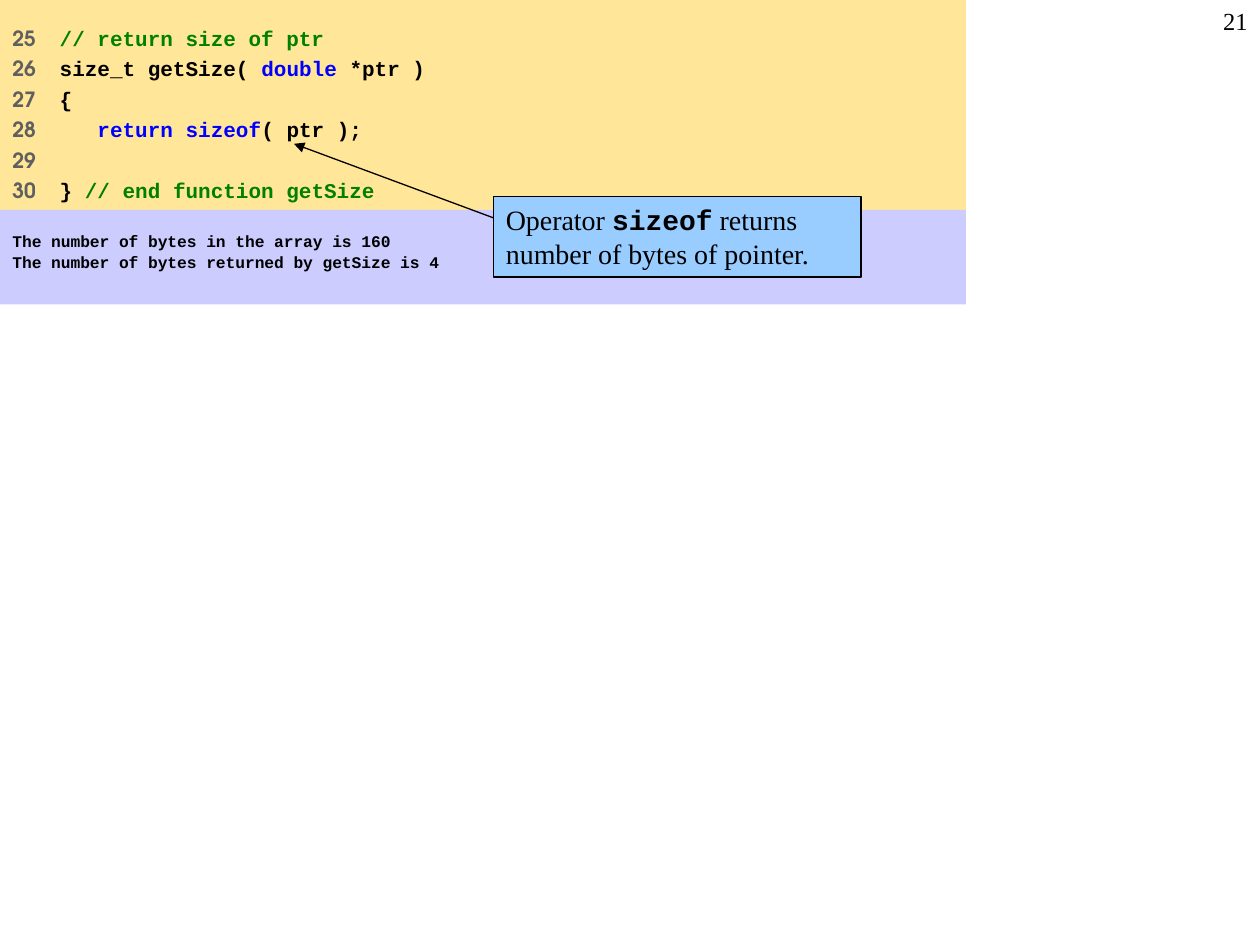
from lxml.etree import SubElement
from pptx import Presentation
from pptx.dml.color import RGBColor
from pptx.enum.shapes import MSO_CONNECTOR, MSO_SHAPE
from pptx.enum.text import MSO_ANCHOR, MSO_AUTO_SIZE, PP_ALIGN
from pptx.oxml.ns import qn
from pptx.util import Inches, Pt

BLACK = RGBColor(0x00, 0x00, 0x00)
GRAY = RGBColor(0x5F, 0x5F, 0x5F)
GREEN = RGBColor(0x00, 0x80, 0x00)
BLUE = RGBColor(0x00, 0x00, 0xFF)
CODE_FILL = RGBColor(0xFF, 0xE6, 0x99)
OUTPUT_FILL = RGBColor(0xCC, 0xCC, 0xFF)
CALLOUT_FILL = RGBColor(0x99, 0xCC, 0xFF)
CODE_FONT = "Courier New"
NUMBER_FONT = "TeX Gyre Adventor"
BODY_FONT = "Times New Roman"

presentation = Presentation()
presentation.slide_width = Inches(10)
presentation.slide_height = Inches(7.5)
column = presentation.slide_width / 120
row = presentation.slide_height / 90
slide = presentation.slides.add_slide(presentation.slide_layouts[6])


def add_panel(shapes, left, top, width, height, fill, inset):
    panel = shapes.add_shape(
        MSO_SHAPE.RECTANGLE,
        int(left * column), int(top * row), int(width * column), int(height * row),
    )
    panel.shadow.inherit = False
    panel.fill.solid()
    panel.fill.fore_color.rgb = fill
    panel.line.fill.background()
    text_frame = panel.text_frame
    text_frame.word_wrap = True
    text_frame.vertical_anchor = MSO_ANCHOR.TOP
    text_frame.margin_top = text_frame.margin_bottom = Inches(inset)
    text_frame.paragraphs[0].alignment = PP_ALIGN.LEFT
    return panel


def add_run(paragraph, text, size, font, color, bold):
    run = paragraph.add_run()
    run.text = text
    run.font.size = Pt(size)
    run.font.name = font
    run.font.color.rgb = color
    run.font.bold = bold


page_number = slide.shapes.add_textbox(int(114 * column), 0, int(6 * column), int(6 * row))
page_number.text_frame.word_wrap = True
page_paragraph = page_number.text_frame.paragraphs[0]
page_paragraph.alignment = PP_ALIGN.RIGHT
add_run(page_paragraph, "21", 14, BODY_FONT, BLACK, False)

code_lines = [
    ("25\t", [("// return size of ptr", GREEN)]),
    ("26\t", [("size_t getSize( ", BLACK), ("double", BLUE), (" *ptr )", BLACK)]),
    ("27\t", [("{", BLACK)]),
    ("28\t\t", [("return sizeof", BLUE), ("( ptr );", BLACK)]),
    ("29", []),
    ("30\t", [("} ", BLACK), ("// end function getSize", GREEN)]),
]
code_panel = add_panel(slide.shapes, 0, 0, 92, 21, CODE_FILL, 0.2)
for index, (number, pieces) in enumerate(code_lines):
    code_frame = code_panel.text_frame
    paragraph = code_frame.add_paragraph() if index else code_frame.paragraphs[0]
    paragraph.alignment = PP_ALIGN.LEFT
    paragraph.space_before = Pt(3)
    tab_list = SubElement(paragraph._p.get_or_add_pPr(), qn("a:tabLst"))
    for position in (4.5, 8.1):
        SubElement(tab_list, qn("a:tab"), pos=str(int(position * column)), algn="l")
    add_run(paragraph, number, 12, NUMBER_FONT, GRAY, True)
    for text, color in pieces:
        add_run(paragraph, text, 12, CODE_FONT, color, True)

output_lines = [
    "The number of bytes in the array is 160",
    "The number of bytes returned by getSize is 4",
]
output_panel = add_panel(slide.shapes, 0, 20, 92, 9, OUTPUT_FILL, 0.2)
output_panel.text_frame.text = "\n".join(output_lines)
for paragraph in output_panel.text_frame.paragraphs:
    paragraph.alignment = PP_ALIGN.LEFT
    paragraph.space_before = Pt(3)
    paragraph.line_spacing = 0.8
    font = paragraph.runs[0].font
    font.size = Pt(9.3)
    font.name = CODE_FONT
    font.bold = True
    font.color.rgb = BLACK

callout_group = slide.shapes.add_group_shape()
callout = add_panel(callout_group.shapes, 47, 18.7, 35, 7.7, CALLOUT_FILL, 0.05)
callout.line.color.rgb = BLACK
callout.line.width = Pt(0.75)
callout.text_frame.auto_size = MSO_AUTO_SIZE.SHAPE_TO_FIT_TEXT
callout_paragraph = callout.text_frame.paragraphs[0]
add_run(callout_paragraph, "Operator ", 16, BODY_FONT, BLACK, False)
add_run(callout_paragraph, "sizeof", 16, CODE_FONT, BLACK, True)
add_run(callout_paragraph, " returns number of bytes of pointer.", 16, BODY_FONT, BLACK, False)

pointer_arrow = callout_group.shapes.add_connector(
    MSO_CONNECTOR.STRAIGHT,
    int(47 * column), int(20.75 * row), int(28 * column), int(13.7 * row),
)
pointer_arrow.line.color.rgb = BLACK
pointer_arrow.line.width = Pt(0.75)
SubElement(pointer_arrow.line._get_or_add_ln(), qn("a:tailEnd"), type="triangle")
SubElement(pointer_arrow._element.spPr, qn("a:effectLst"))

presentation.save("out.pptx")
